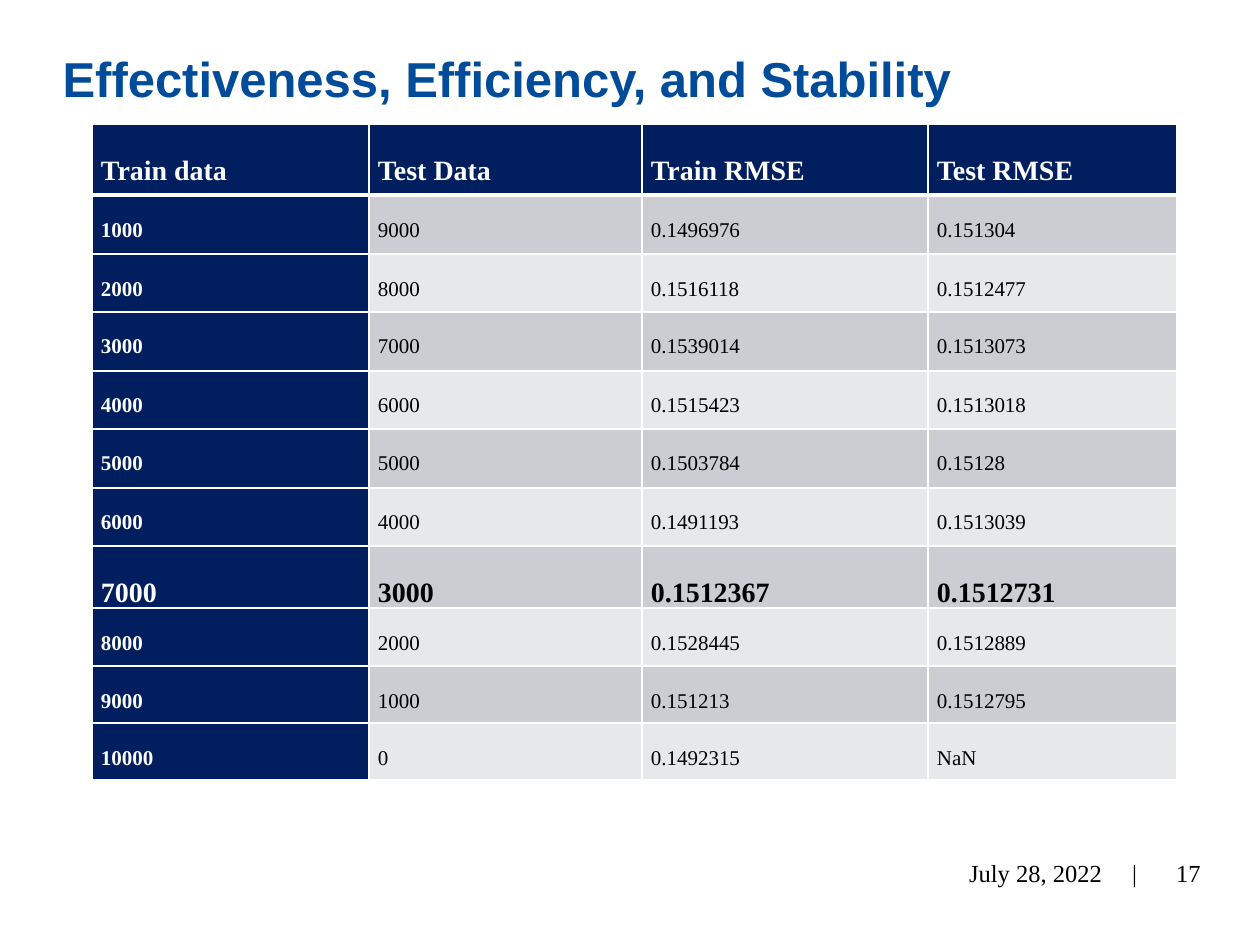
from lxml.etree import SubElement
from pptx import Presentation
from pptx.dml.color import RGBColor
from pptx.enum.text import MSO_ANCHOR, PP_ALIGN
from pptx.oxml.ns import qn
from pptx.util import Emu, Pt

PX = 914400 / 126
COLORS = {"title": "004C9B", "navy": "011E5E", "odd": "CCCDD2",
          "even": "E7E8EA", "white": "FFFFFF", "black": "000000"}
SERIF = "Times New Roman"
HEADINGS = ["Train data", "Test Data", "Train RMSE", "Test RMSE"]
RESULTS = [
    ["1000", "9000", "0.1496976", "0.151304"],
    ["2000", "8000", "0.1516118", "0.1512477"],
    ["3000", "7000", "0.1539014", "0.1513073"],
    ["4000", "6000", "0.1515423", "0.1513018"],
    ["5000", "5000", "0.1503784", "0.15128"],
    ["6000", "4000", "0.1491193", "0.1513039"],
    ["7000", "3000", "0.1512367", "0.1512731"],
    ["8000", "2000", "0.1528445", "0.1512889"],
    ["9000", "1000", "0.151213", "0.1512795"],
    ["10000", "0", "0.1492315", "NaN"],
]
BEST_ROW = 7
COLUMN_WIDTHS = [277, 273, 286, 249]
ROW_HEIGHTS = [71, 59, 58, 59, 58, 59, 58, 62, 58, 57, 57]


def px(length):
    """Turn px into EMU."""
    return Emu(round(length * PX))


def apply(target, values):
    """Set each named attribute of the target."""
    for name, value in values.items():
        setattr(target, name, value)


def write(paragraph, text, size, color, font=SERIF, bold=False):
    """Write one formatted run into a paragraph."""
    run = paragraph.add_run()
    run.text = text
    apply(run.font, {"name": font, "size": Pt(size), "bold": bold})
    run.font.color.rgb = RGBColor.from_string(COLORS[color])


def place_title(slide, box, text):
    """Move the title placeholder to the box and fill it."""
    title = slide.shapes.title
    apply(title, dict(zip(("left", "top", "width", "height"), map(px, box))))
    title.text_frame.vertical_anchor = MSO_ANCHOR.TOP
    heading = title.text_frame.paragraphs[0]
    apply(heading, {"alignment": PP_ALIGN.LEFT, "line_spacing": Pt(26.6)})
    write(heading, text, 28, "title", "Arial", True)


def draw_borders(cell, widths):
    """Give a cell white borders with the given widths in points."""
    properties = cell._tc.get_or_add_tcPr()
    for side, width in widths.items():
        line = SubElement(properties, qn(f"a:ln{side}"), w=str(Pt(width)))
        fill = SubElement(line, qn("a:solidFill"))
        SubElement(fill, qn("a:srgbClr"), val=COLORS["white"])


def fill_cell(cell, text, row, column):
    """Format one cell by its place in the table."""
    is_header = row == 0
    is_navy = is_header or column == 0
    is_large = row in (0, BEST_ROW)
    draw_borders(cell, {"L": 1, "R": 1, "T": 3 if row == 1 else 1,
                        "B": 3 if is_header else 1})
    band = "navy" if is_navy else "odd" if row % 2 else "even"
    cell.fill.solid()
    cell.fill.fore_color.rgb = RGBColor.from_string(COLORS[band])
    apply(cell, {"margin_left": px(9), "margin_right": px(9),
                 "margin_top": 0, "margin_bottom": 0})
    entry = cell.text_frame.paragraphs[0]
    apply(entry, {"line_spacing": 2.0, "space_after": Pt(10)})
    write(entry, text, 16 if is_large else 12,
          "white" if is_navy else "black", bold=is_navy or is_large)


def place_results(slide, left, top):
    """Build the results table from its top left corner."""
    rows = [HEADINGS] + RESULTS
    table = slide.shapes.add_table(
        len(rows), len(HEADINGS), px(left), px(top),
        px(sum(COLUMN_WIDTHS)), px(sum(ROW_HEIGHTS))).table
    for column, width in zip(table.columns, COLUMN_WIDTHS):
        column.width = px(width)
    for row, height in zip(table.rows, ROW_HEIGHTS):
        row.height = px(height)
    for r, entries in enumerate(rows):
        for c, text in enumerate(entries):
            fill_cell(table.cell(r, c), text, r, c)


def add_footer_box(slide, box):
    """Add a middle-anchored text box and return its text frame."""
    frame = slide.shapes.add_textbox(*map(px, box)).text_frame
    apply(frame, {"word_wrap": True, "vertical_anchor": MSO_ANCHOR.MIDDLE})
    return frame


def place_footer(slide, left, top, height):
    """Place the date with its divider, then the page number."""
    date_frame = add_footer_box(slide, (left, top, 286, height))
    date_frame.margin_left = px(105)
    date = date_frame.paragraphs[0]
    stops = SubElement(date._p.get_or_add_pPr(), qn("a:tabLst"))
    SubElement(stops, qn("a:tab"), pos=str(px(168)), algn="r")
    write(date, "July 28, 2022\t|", 14, "black")
    number = add_footer_box(slide, (left + 256, top, 93, height)).paragraphs[0]
    number.alignment = PP_ALIGN.RIGHT
    write(number, "17", 14, "black")


def main():
    """Build and save the slide."""
    deck = Presentation()
    apply(deck, {"slide_width": px(1260), "slide_height": px(945)})
    slide = deck.slides.add_slide(deck.slide_layouts[5])
    place_title(slide, (50, 54, 1164, 107), "Effectiveness, Efficiency, and Stability")
    place_results(slide, 92, 124)
    place_footer(slide, 864, 848, 50)
    deck.save("out.pptx")


if __name__ == "__main__":
    main()
